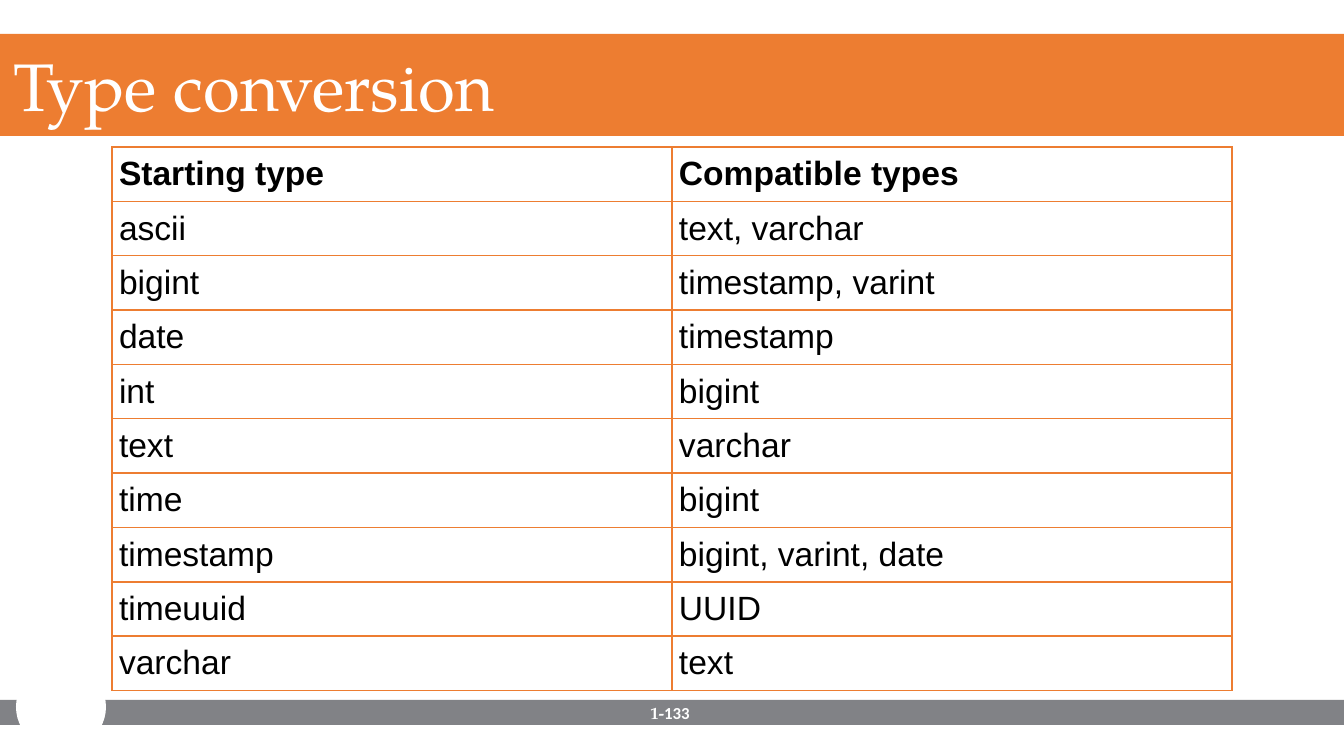
from lxml.etree import SubElement
from pptx import Presentation
from pptx.dml.color import RGBColor
from pptx.enum.shapes import MSO_SHAPE
from pptx.enum.text import MSO_ANCHOR, PP_ALIGN
from pptx.oxml.ns import qn
from pptx.util import Emu, Pt

EMU_PER_PX = 914400 / 134.4
COLORS = {
    "orange": "ED7D31",
    "gray": "818286",
    "white": "FFFFFF",
    "black": "000000",
}
SERIF = "TeX Gyre Pagella"
TYPE_ROWS = [
    ("Starting type", "Compatible types"),
    ("ascii", "text, varchar"),
    ("bigint", "timestamp, varint"),
    ("date", "timestamp"),
    ("int", "bigint"),
    ("text", "varchar"),
    ("time", "bigint"),
    ("timestamp", "bigint, varint, date"),
    ("timeuuid", "UUID"),
    ("varchar", "text"),
]


def px(length):
    return Emu(round(length * EMU_PER_PX))


def area(*lengths):
    return [px(length) for length in lengths]


def color(name):
    return RGBColor.from_string(COLORS[name])


def add_span(para, text, size, font, fill, bold=False):
    span = para.add_run()
    span.text = text
    span.font.size = Pt(size)
    span.font.name = font
    span.font.bold = bold
    span.font.color.rgb = color(fill)


def add_block(page, kind, bounds, fill):
    shape = page.shapes.add_shape(kind, *area(*bounds))
    shape.shadow.inherit = False
    shape.fill.solid()
    shape.fill.fore_color.rgb = color(fill)
    shape.line.fill.background()
    return shape


def add_footer(page):
    add_block(page, MSO_SHAPE.RECTANGLE, (0, 700, 1344, 25), "gray")
    add_block(page, MSO_SHAPE.OVAL, (16, 664, 90, 86), "white")
    box = page.shapes.add_textbox(*area(621, 690, 82, 46))
    frame = box.text_frame
    frame.word_wrap = True
    frame.vertical_anchor = MSO_ANCHOR.MIDDLE
    para = frame.paragraphs[0]
    para.alignment = PP_ALIGN.RIGHT
    add_span(para, "1-", 9, SERIF, "white", bold=True)
    add_span(para, "133", 9, "Calibri", "white", bold=True)


def add_title(page, text):
    banner = add_block(page, MSO_SHAPE.PENTAGON, (0, 34, 1527, 102), "orange")
    frame = banner.text_frame
    frame.vertical_anchor = MSO_ANCHOR.MIDDLE
    para = frame.paragraphs[0]
    para.alignment = PP_ALIGN.LEFT
    add_span(para, text, 36, SERIF, "white")


def add_borders(cell, name):
    properties = cell._tc.get_or_add_tcPr()
    for position, side in enumerate(("lnL", "lnR", "lnT", "lnB")):
        border = SubElement(properties, qn(f"a:{side}"), w=str(Pt(1)))
        fill = SubElement(border, qn("a:solidFill"))
        SubElement(fill, qn("a:srgbClr"), val=COLORS[name])
        properties.insert(position, border)


def fill_cell(cell, text, bold):
    cell.fill.background()
    cell.vertical_anchor = MSO_ANCHOR.MIDDLE
    cell.margin_left = cell.margin_right = px(7)
    cell.margin_top = cell.margin_bottom = px(7)
    add_span(cell.text_frame.paragraphs[0], text, 18, "Arial", "black", bold)
    add_borders(cell, "orange")


def add_type_table(page, rows):
    bounds = area(112, 147, 1120, 543)
    table = page.shapes.add_table(len(rows), len(rows[0]), *bounds).table
    table.horz_banding = False
    for row_index, row in enumerate(rows):
        for column_index, text in enumerate(row):
            fill_cell(table.cell(row_index, column_index), text, row_index == 0)


def main():
    deck = Presentation()
    deck.slide_width, deck.slide_height = area(1344, 756)
    page = deck.slides.add_slide(deck.slide_layouts[6])
    add_footer(page)
    add_title(page, "Type conversion")
    add_type_table(page, TYPE_ROWS)
    deck.save("out.pptx")


if __name__ == "__main__":
    main()
